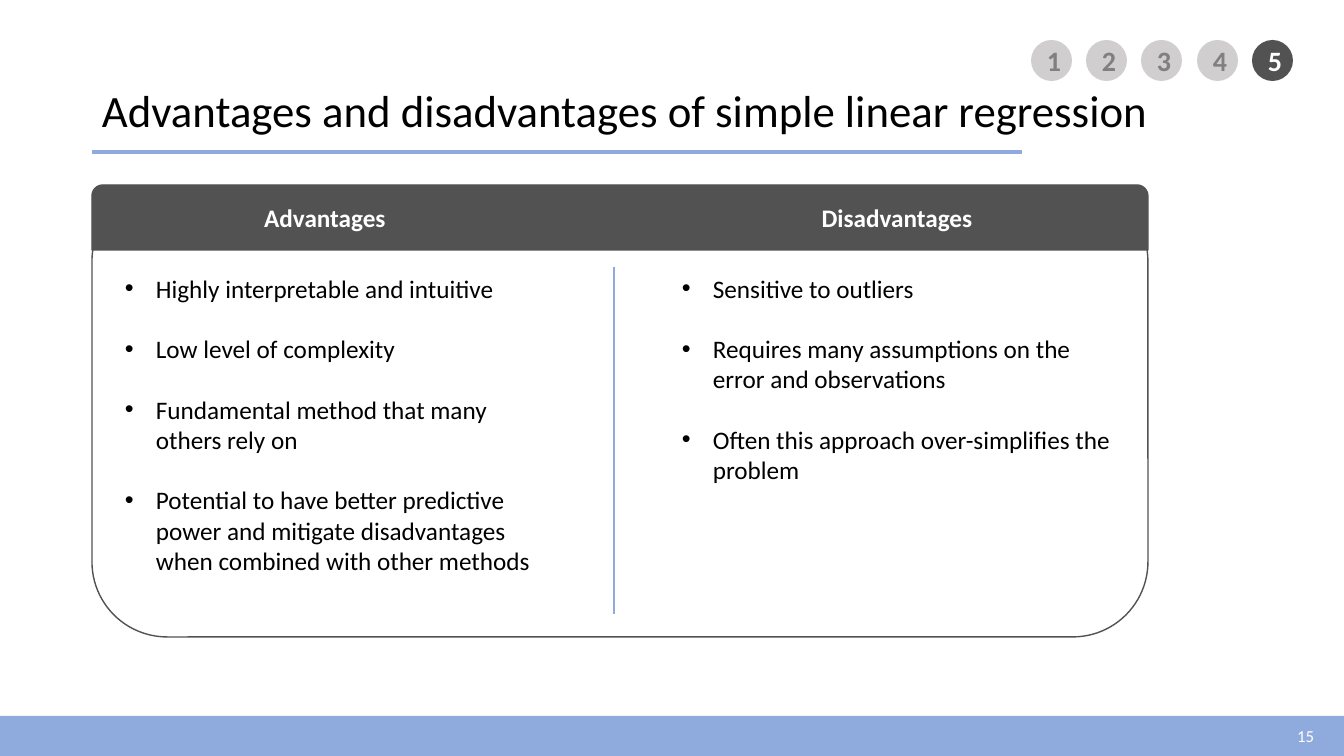
from lxml import etree
from pptx import Presentation
from pptx import util as u
from pptx.dml.color import RGBColor
from pptx.enum import shapes, text
from pptx.oxml.ns import qn

PX = 914400 / 100.8
BLUE = RGBColor(0x8F, 0xAA, 0xDC)
DARK = RGBColor(0x52, 0x52, 0x52)
PALE = RGBColor(0xD0, 0xCE, 0xCE)
GREY = RGBColor(0x80, 0x80, 0x80)
WHITE = RGBColor(0xFF, 0xFF, 0xFF)
BLACK = RGBColor(0, 0, 0)
SHAPE = shapes.MSO_SHAPE
ALIGN = text.PP_ALIGN
MIDDLE = text.MSO_ANCHOR.MIDDLE
TOP = text.MSO_ANCHOR.TOP

deck = Presentation()
deck.slide_width, deck.slide_height = round(1344 * PX), round(756 * PX)
page = deck.slides.add_slide(deck.slide_layouts[6])


def px(*lengths):
    return [round(length * PX) for length in lengths]


def write(box, lines, size=18, color=BLACK, bold=False, align=ALIGN.LEFT,
          anchor=TOP, spacing=1.0, gap=0, bullet=False):
    """Fill a shape or text box with one paragraph per line."""
    frame = box.text_frame
    frame.word_wrap = True
    frame.vertical_anchor = anchor
    for index, line in enumerate(lines):
        para = frame.paragraphs[0] if index == 0 else frame.add_paragraph()
        para.alignment = align
        para.line_spacing = spacing
        para.space_after = u.Pt(gap)
        span = para.add_run()
        span.text = line
        span.font.name = "Calibri"
        span.font.size = u.Pt(size)
        span.font.bold = bold
        span.font.color.rgb = color
        if bullet:
            props = para._p.get_or_add_pPr()
            indent = px(31)[0]
            props.set("marL", str(indent))
            props.set("indent", str(-indent))
            etree.SubElement(props, qn("a:buFont")).set("typeface", "Arial")
            etree.SubElement(props, qn("a:buChar")).set("char", "•")


# Footer band, step circles and the two card shapes, from back to front
circles = [(SHAPE.OVAL, (1031 + round(55.2 * step), 40, 41, 41), PALE, None)
           for step in range(4)]
circles.append((SHAPE.OVAL, (1252, 40, 41, 41), DARK, None))
footer = (SHAPE.RECTANGLE, (0, 716, 1344, 40), BLUE, None)
card = (SHAPE.ROUNDED_RECTANGLE, (92, 186, 1056, 451), None, DARK)
header = (SHAPE.ROUND_2_SAME_RECTANGLE, (92, 185, 1056, 65), DARK, DARK)

step = 0
for kind, place, fill, line in [footer, *circles, card, header]:
    shape = page.shapes.add_shape(kind, *px(*place))
    shape.shadow.inherit = False
    if fill is None:
        shape.fill.background()
    else:
        shape.fill.solid()
        shape.fill.fore_color.rgb = fill
    if line is None:
        shape.line.fill.background()
    else:
        shape.line.color.rgb = line
        shape.line.width = u.Pt(1)
    if kind == SHAPE.OVAL:
        step += 1
        write(shape, [str(step)], size=20, color=WHITE if fill == DARK else GREY,
              bold=True, align=ALIGN.CENTER, anchor=MIDDLE)

# Title rule and column divider
for ends, width in [((92, 152, 1022, 152), 2.25), ((614, 614, 614, 267), 1.5)]:
    rule = page.shapes.add_connector(shapes.MSO_CONNECTOR.STRAIGHT, *px(*ends))
    rule.line.color.rgb = BLUE
    rule.line.width = u.Pt(width)
    etree.SubElement(rule._element.spPr, qn("a:effectLst"))

title = page.shapes.add_textbox(*px(92, 40, 1159, 146))
write(title, ["Advantages and disadvantages of simple linear regression"],
      size=32, anchor=MIDDLE, spacing=0.9)

number = page.shapes.add_textbox(*px(1022, 716, 302, 40))
write(number, ["15"], size=12, color=WHITE, align=ALIGN.RIGHT, anchor=MIDDLE)

columns = [
    ("Advantages", (138, 197, 374, 40), (115, 268, 443, 346), [
        "Highly interpretable and intuitive",
        "Low level of complexity",
        "Fundamental method that many others rely on",
        "Potential to have better predictive power and mitigate disadvantages "
        "when combined with other methods",
    ]),
    ("Disadvantages", (710, 197, 374, 40), (672, 268, 449, 254), [
        "Sensitive to outliers",
        "Requires many assumptions on the error and observations",
        "Often this approach over-simplifies the problem",
    ]),
]
for heading, heading_place, list_place, points in columns:
    write(page.shapes.add_textbox(*px(*heading_place)), [heading],
          color=WHITE, bold=True, align=ALIGN.CENTER)
    write(page.shapes.add_textbox(*px(*list_place)), points, gap=21.6, bullet=True)

deck.save("out.pptx")
